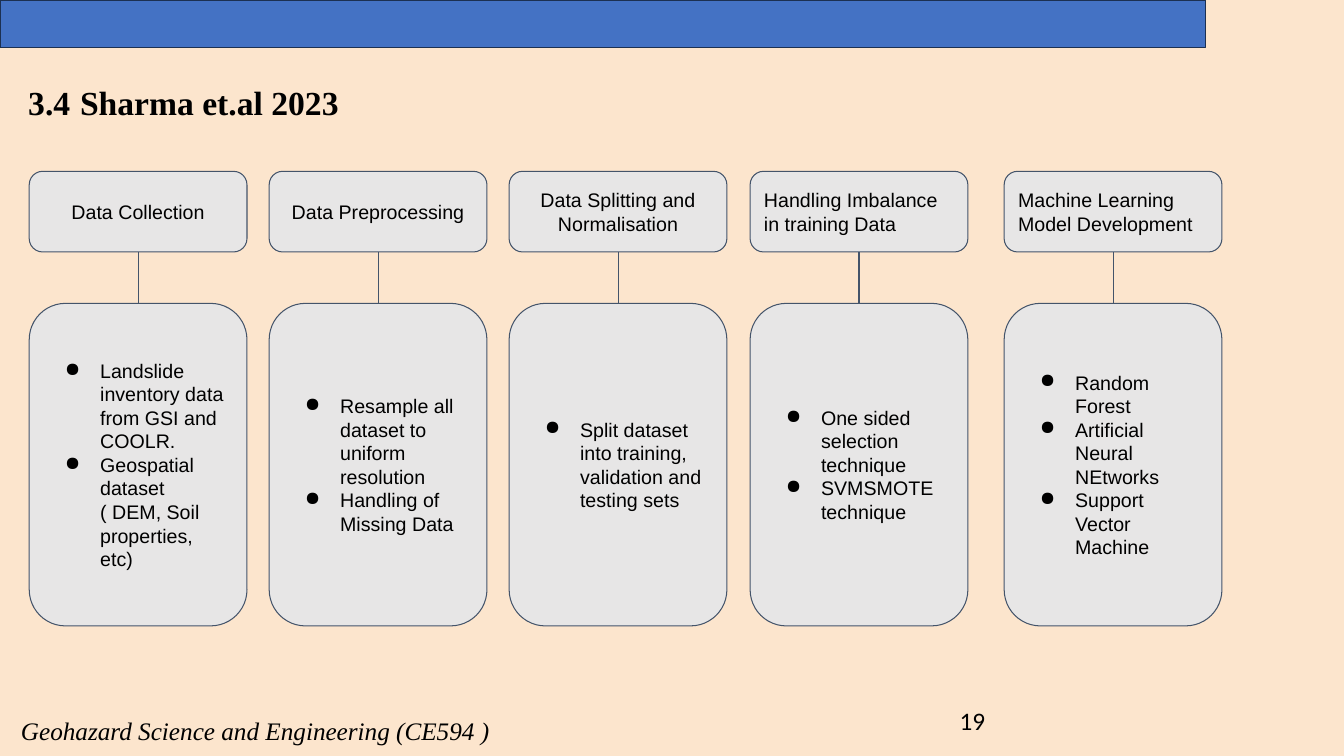
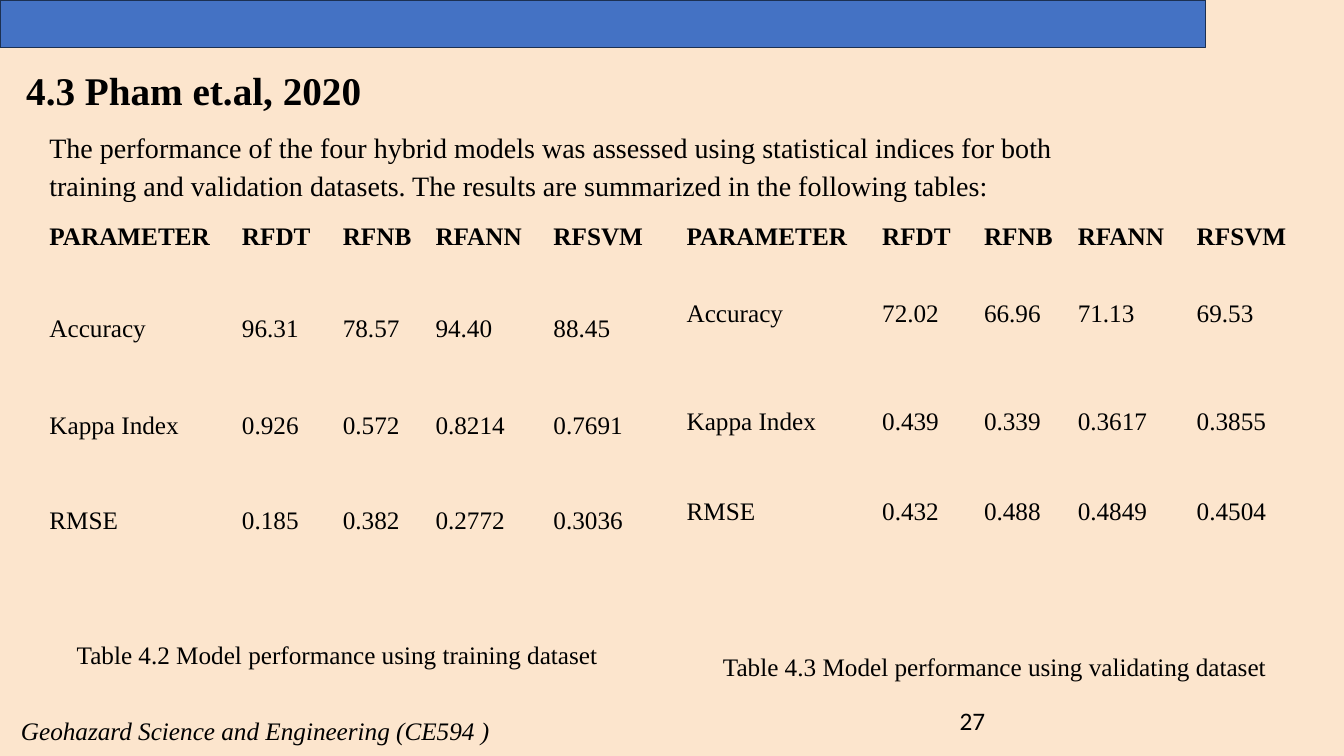
"""Builds two slides on landslide susceptibility studies: a workflow and two result tables."""
from lxml.etree import SubElement
from pptx import Presentation
from pptx.dml.color import RGBColor
from pptx.enum.shapes import MSO_CONNECTOR as CONN, MSO_SHAPE as SHAPE
from pptx.enum.text import MSO_ANCHOR as ANCHOR, MSO_AUTO_SIZE as FIT, PP_ALIGN as ALIGN
from pptx.oxml.ns import qn
from pptx.util import Pt

PX = 9144
SERIF = "Times New Roman"
PAPER, BAND, BAND_EDGE = "FCE5CD", "4472C4", "1C3052"
BOX, BOX_EDGE, INK = "E7E6E6", "44546A", "000000"
NO_GRID = "{2D5ABB26-0587-4C30-8999-92F81FD0307C}"

TITLE = {"name": SERIF, "size": Pt(28), "bold": True}
FOOTER = {"name": SERIF, "size": Pt(18), "italic": True}
NUMBER = {"name": "Calibri", "size": Pt(18)}
BOX_TEXT = {"name": "Arial", "size": Pt(14)}
BODY = {"name": SERIF, "size": Pt(20)}
CELL = {"name": SERIF, "size": Pt(18)}
LEFT = {"alignment": ALIGN.LEFT}
LOOSE = {"alignment": ALIGN.LEFT, "line_spacing": 1.15}
CAPTION = {"alignment": ALIGN.CENTER, "line_spacing": 1.15}


def rgb(value):
    """Return the colour for a hex string."""
    return RGBColor.from_string(value)


def write(tf, paras, font, layout=LEFT, anchor=ANCHOR.TOP, inset=10, bullet=False):
    """Fill a text frame; each paragraph is a list of (text, font changes) runs."""
    frame = {"word_wrap": True, "auto_size": FIT.NONE, "vertical_anchor": anchor,
             "margin_left": 10 * PX, "margin_right": 10 * PX,
             "margin_top": inset * PX, "margin_bottom": inset * PX}
    for key, value in frame.items():
        setattr(tf, key, value)
    for i, runs in enumerate(paras):
        p = tf.add_paragraph() if i else tf.paragraphs[0]
        if bullet:
            pPr = p._p.get_or_add_pPr()
            pPr.set("marL", str(50 * PX))
            pPr.set("indent", str(-35 * PX))
            SubElement(SubElement(pPr, qn("a:buClr")), qn("a:srgbClr"), val=INK)
            SubElement(pPr, qn("a:buChar"), char="●")
        for key, value in layout.items():
            setattr(p, key, value)
        for text, changes in runs:
            r = p.add_run()
            r.text = text
            for key, value in {**font, **changes}.items():
                setattr(r.font, key, value)
            r.font.color.rgb = rgb(INK)


prs = Presentation()
prs.slide_width, prs.slide_height = 1333 * PX, 750 * PX
fill = prs.slide_master.background.fill
fill.solid()
fill.fore_color.rgb = rgb(PAPER)

pages = [
    ("19", (18, 66, 465, 67), LEFT,
     [("3.4", {"size": Pt(24)}), (" ", {}), ("Sharma et.al 2023", {"size": Pt(24)})]),
    ("27", (16, 49, 502, 67), LOOSE, [("4.3 Pham et.al, 2020", {})]),
]
slides = []
for number, place, layout, heading in pages:
    s = prs.slides.add_slide(prs.slide_layouts[5])
    slides.append(s)
    title = s.shapes.title
    title.left, title.top, title.width, title.height = [v * PX for v in place]
    write(title.text_frame, [heading], TITLE, layout)
    band = s.shapes.add_shape(SHAPE.RECTANGLE, 0, 0, 1196 * PX, 47 * PX)
    band.shadow.inherit = False
    band.fill.solid()
    band.fill.fore_color.rgb = rgb(BAND)
    band.line.color.rgb = rgb(BAND_EDGE)
    band.line.width = Pt(1)
    footers = [("Geohazard Science and Engineering (CE594 )", (11, 705, 496, 40), FOOTER),
               (number, (942, 695, 300, 40), NUMBER)]
    for text, spot, font in footers:
        tb = s.shapes.add_textbox(*[v * PX for v in spot])
        write(tb.text_frame, [[(text, {})]], font, inset=5)

workflow, results = slides

steps = [
    (29, "Data Collection", ALIGN.CENTER,
     ["Landslide inventory data from GSI and COOLR.",
      "Geospatial dataset ( DEM, Soil properties, etc)"]),
    (267, "Data Preprocessing", ALIGN.CENTER,
     ["Resample all dataset to uniform resolution", "Handling of Missing Data"]),
    (505, "Data Splitting and Normalisation", ALIGN.CENTER,
     ["Split dataset into training, validation and testing sets"]),
    (744, "Handling Imbalance in training Data", ALIGN.LEFT,
     ["One sided selection technique", "SVMSMOTE technique"]),
    (996, "Machine Learning Model Development", ALIGN.LEFT,
     ["Random Forest", "Artificial Neural NEtworks", "Support Vector Machine"]),
]
for left, step, align, details in steps:
    boxes = []
    for top, height, lines, side, bullet in [(170, 80, [step], align, False),
                                             (301, 320, details, ALIGN.LEFT, True)]:
        sp = workflow.shapes.add_shape(SHAPE.ROUNDED_RECTANGLE, left * PX, top * PX,
                                       216 * PX, height * PX)
        sp.shadow.inherit = False
        sp.fill.solid()
        sp.fill.fore_color.rgb = rgb(BOX)
        sp.line.color.rgb = rgb(BOX_EDGE)
        sp.line.width = Pt(0.75)
        write(sp.text_frame, [[(text, {})] for text in lines], BOX_TEXT,
              {"alignment": side}, ANCHOR.MIDDLE, bullet=bullet)
        boxes.append(sp)
    link = workflow.shapes.add_connector(CONN.STRAIGHT, 0, 0, 0, 0)
    link.begin_connect(boxes[0], 2)
    link.end_connect(boxes[1], 0)
    link.line.color.rgb = rgb(BOX_EDGE)
    link.line.width = Pt(0.75)
    SubElement(link._element.spPr, qn("a:effectLst"))

paragraphs = [
    ("The performance of the four hybrid models was assessed using statistical indices "
     "for both training and validation datasets. The results are summarized in the "
     "following tables:", (39, 114, 1105, 93), BODY, LOOSE),
    ("Table 4.2 Model performance using training dataset", (16, 620, 637, 50), CELL, CAPTION),
    ("Table 4.3 Model performance using validating dataset", (639, 632, 695, 50), CELL, CAPTION),
]
for text, spot, font, layout in paragraphs:
    tb = results.shapes.add_textbox(*[v * PX for v in spot])
    write(tb.text_frame, [[(text, {})]], font, layout)

header = ["PARAMETER", "RFDT", "RFNB", "RFANN", "RFSVM"]
tables = [
    (39, [191, 100, 92, 117, 114], [91, 97, 94, 130],
     [["Accuracy", "96.31", "78.57", "94.40", "88.45"],
      ["Kappa Index", "0.926", "0.572", "0.8214", "0.7691"],
      ["RMSE", "0.185", "0.382", "0.2772", "0.3036"]]),
    (671, [194, 101, 93, 118, 131], [76, 108, 89, 124],
     [["Accuracy", "72.02", "66.96", "71.13", "69.53"],
      ["Kappa Index", "0.439", "0.339", "0.3617", "0.3855"],
      ["RMSE", "0.432", "0.488", "0.4849", "0.4504"]]),
]
for left, widths, heights, scores in tables:
    frame = results.shapes.add_table(len(heights), len(widths), left * PX, 207 * PX,
                                     sum(widths) * PX, sum(heights) * PX)
    table = frame.table
    table.horz_banding = False
    table._tbl.tblPr.find(qn("a:tableStyleId")).text = NO_GRID
    for column, width in zip(table.columns, widths):
        column.width = width * PX
    for i, (height, values) in enumerate(zip(heights, [header] + scores)):
        table.rows[i].height = height * PX
        for j, value in enumerate(values):
            cell = table.cell(i, j)
            cell.fill.background()
            for side in ("left", "right", "top", "bottom"):
                setattr(cell, f"margin_{side}", 10 * PX)
            p = cell.text_frame.paragraphs[0]
            p.line_spacing = 1.15
            r = p.add_run()
            r.text = value
            for key, setting in {**CELL, "bold": i == 0}.items():
                setattr(r.font, key, setting)
            r.font.color.rgb = rgb(INK)

prs.save("out.pptx")
